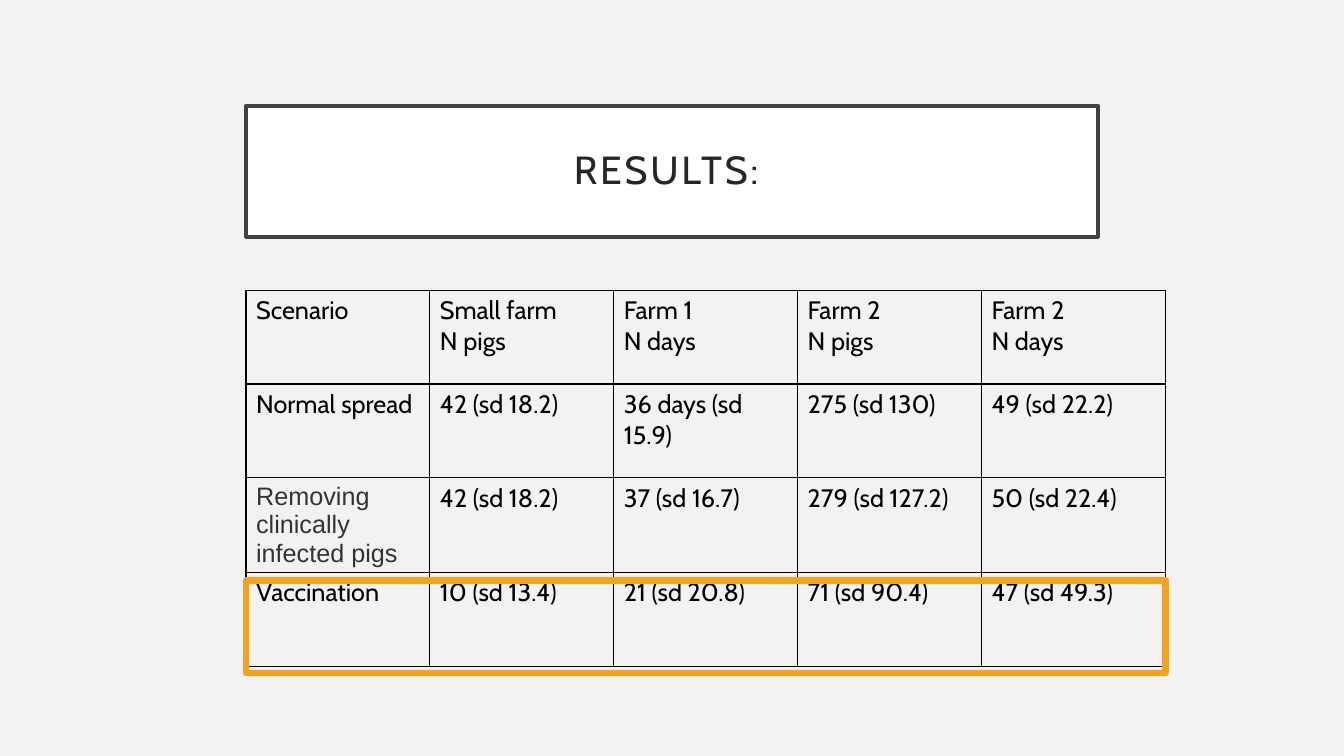
from lxml import etree
from pptx import Presentation
from pptx.dml.color import RGBColor
from pptx.enum.shapes import MSO_SHAPE as SHAPE
from pptx.enum.text import MSO_ANCHOR as ANCHOR, PP_ALIGN as ALIGN
from pptx.oxml.ns import qn
from pptx.util import Inches, Pt

TITLE = "RESULTS: "
ROWS = [
    ["Scenario", "Small farm\nN pigs", "Farm 1\nN days", "Farm 2\nN pigs", "Farm 2\nN days"],
    ["Normal spread", "42 (sd 18.2)", "36 days (sd 15.9)", "275 (sd 130)", "49 (sd 22.2)"],
    ["Removing clinically infected pigs", "42 (sd 18.2)", "37 (sd 16.7)",
     "279 (sd 127.2)", "50 (sd 22.4)"],
    ["Vaccination", "10 (sd 13.4)", "21 (sd 20.8)", "71 (sd 90.4)", "47 (sd 49.3)"],
]
ARIAL_CELL = (2, 0)

THEME = {
    "background": "F2F2F2",
    "title_fill": "FFFFFF",
    "title_line": ("404040", 2.5),
    "highlight_line": ("F6A21D", 4.5),
    "grid_line": ("000000", 1),
    "title": {"name": "Cabin", "size": 28, "color": "262626"},
    "cell": {"name": "Cabin", "size": 18, "color": "000000"},
    "arial_cell": {"name": "Arial", "size": 18, "color": "333333"},
}
TITLE_SPACING = 2

LEFT, TABLE_WIDTH = 2.44, 9.12
TITLE_BOX = (LEFT, 1.05, 8.45, 1.3)
TABLE_TOP, ROW_HEIGHT = 2.88, 0.93
HIGHLIGHT_BOX = (LEFT, 5.76, TABLE_WIDTH, 0.92)


def format_font(font, style):
    """Apply a theme text style to a font."""
    values = {"name": style["name"], "size": Pt(style["size"]), "bold": False}
    for name, value in values.items():
        setattr(font, name, value)
    font.color.rgb = RGBColor.from_string(style["color"])


def add_box(slide, box, line, fill=None):
    """Add a rectangle with an outline and an optional fill."""
    shape = slide.shapes.add_shape(SHAPE.RECTANGLE, *map(Inches, box))
    shape.shadow.inherit = False
    if fill:
        shape.fill.solid()
        shape.fill.fore_color.rgb = RGBColor.from_string(fill)
    else:
        shape.fill.background()
    color, width = line
    shape.line.color.rgb = RGBColor.from_string(color)
    shape.line.width = Pt(width)
    return shape


def add_title(slide):
    """Add the framed title with letter spacing."""
    frame = add_box(slide, TITLE_BOX, THEME["title_line"], THEME["title_fill"]).text_frame
    sides = ("left", "top", "right", "bottom")
    values = {f"margin_{side}": Inches(0.2) for side in sides}
    values.update(word_wrap=True, vertical_anchor=ANCHOR.MIDDLE)
    for name, value in values.items():
        setattr(frame, name, value)
    paragraph = frame.paragraphs[0]
    paragraph.alignment, paragraph.line_spacing = ALIGN.CENTER, 0.9
    run = paragraph.add_run()
    run.text = TITLE
    format_font(run.font, THEME["title"])
    run.font._element.set("spc", str(TITLE_SPACING * 100))


def add_borders(cell):
    """Draw the grid line on all four sides, ahead of the cell's fill."""
    color, width = THEME["grid_line"]
    properties = cell._tc.get_or_add_tcPr()
    for position, side in enumerate(("a:lnL", "a:lnR", "a:lnT", "a:lnB")):
        line = etree.Element(qn(side), w=str(Pt(width)))
        fill = etree.SubElement(line, qn("a:solidFill"))
        etree.SubElement(fill, qn("a:srgbClr"), val=color)
        properties.insert(position, line)


def add_results(slide):
    """Add the table of scenarios by farm."""
    row_count, column_count = len(ROWS), len(ROWS[0])
    box = (LEFT, TABLE_TOP, TABLE_WIDTH, ROW_HEIGHT * row_count)
    table = slide.shapes.add_table(row_count, column_count, *map(Inches, box)).table
    table.first_row = table.horz_banding = False
    for row in table.rows:
        row.height = Inches(ROW_HEIGHT)
    for row_index, texts in enumerate(ROWS):
        for column_index, text in enumerate(texts):
            cell = table.cell(row_index, column_index)
            cell.text = text
            cell.fill.background()
            add_borders(cell)
            is_arial = (row_index, column_index) == ARIAL_CELL
            style = THEME["arial_cell" if is_arial else "cell"]
            for paragraph in cell.text_frame.paragraphs:
                format_font(paragraph.runs[0].font, style)


presentation = Presentation()
presentation.slide_width, presentation.slide_height = Inches(13.33), Inches(7.5)
slide = presentation.slides.add_slide(presentation.slide_layouts[6])
slide.background.fill.solid()
slide.background.fill.fore_color.rgb = RGBColor.from_string(THEME["background"])
add_title(slide)
add_results(slide)
add_box(slide, HIGHLIGHT_BOX, THEME["highlight_line"])
presentation.save("out.pptx")
